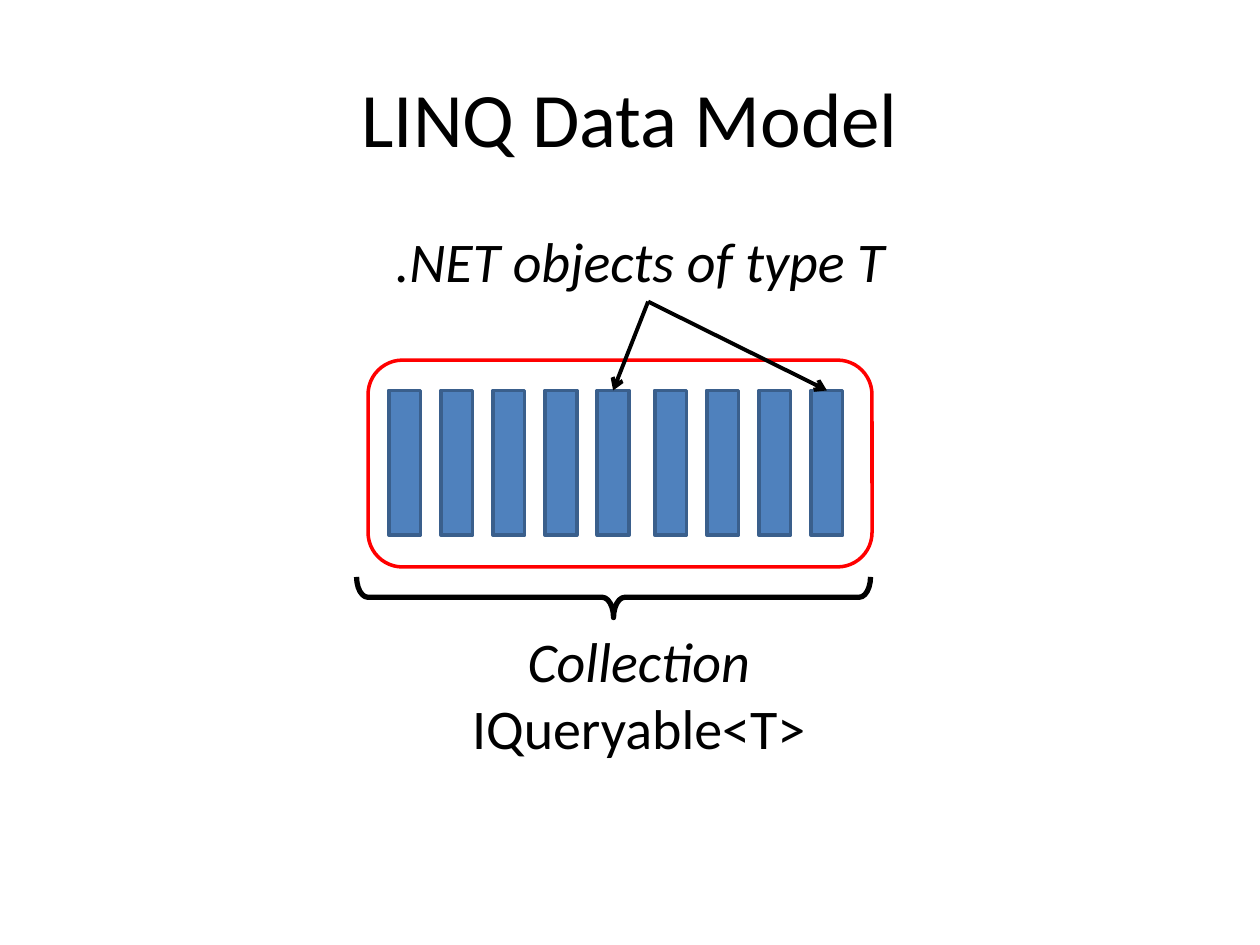
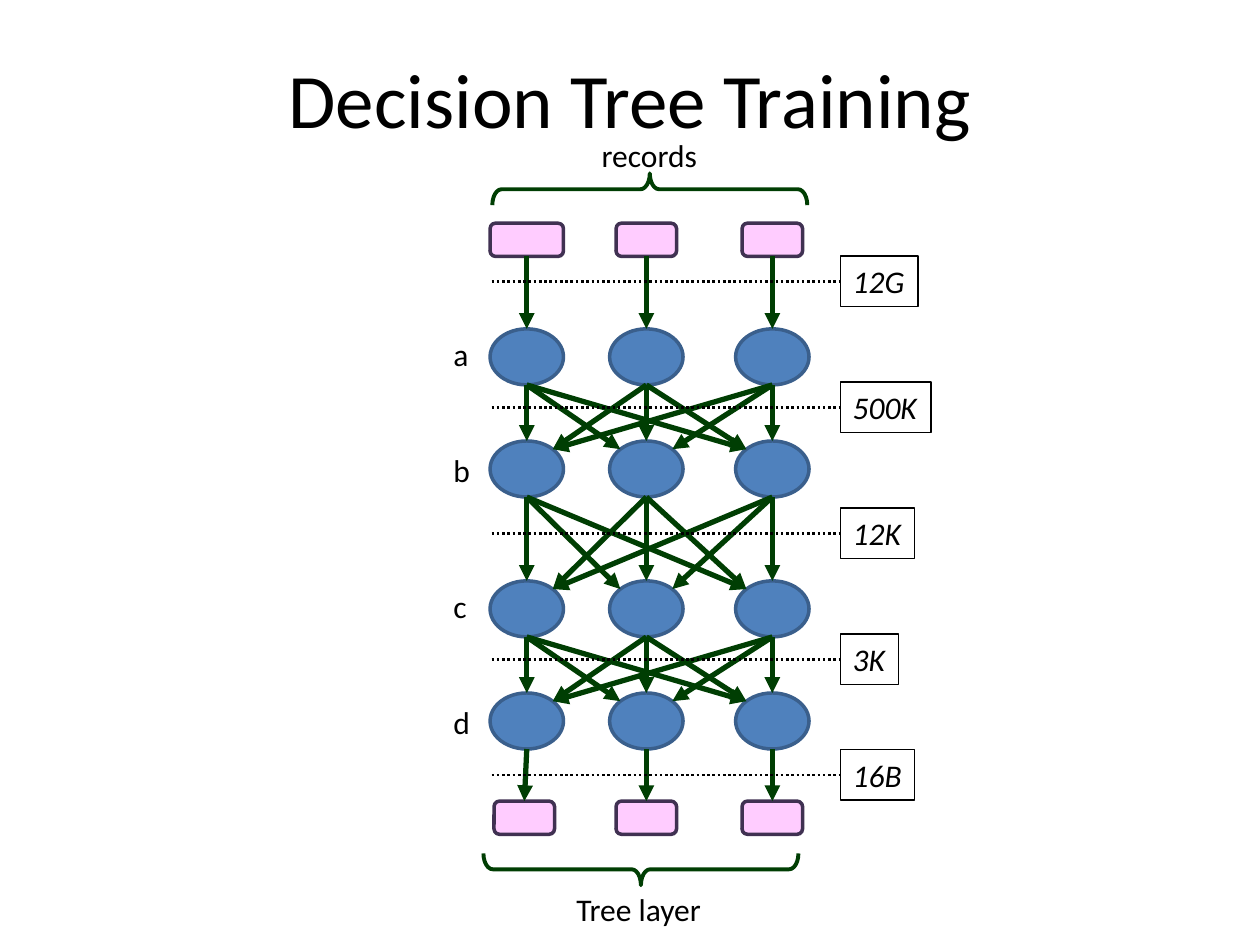
from dataclasses import dataclass
from itertools import pairwise
from math import sqrt

from lxml.etree import SubElement
from pptx import Presentation
from pptx.dml.color import RGBColor
from pptx.enum.dml import MSO_LINE
from pptx.enum.shapes import MSO_CONNECTOR as Link, MSO_SHAPE as Preset
from pptx.enum.text import MSO_ANCHOR as Anchor, MSO_AUTO_SIZE as Fit, PP_ALIGN as Align
from pptx.oxml.ns import qn
from pptx.util import Cm, Pt


@dataclass(frozen=True)
class Theme:
    font: str = "Calibri"
    ink: str = "000000"
    paper: str = "FFFFFF"
    blue: str = "4F81BD"
    blue_edge: str = "3A5F8C"
    red: str = "FF0000"
    pink: str = "FFCCFF"
    plum: str = "403152"
    green: str = "003E03"
    title_size: int = 44
    large_size: int = 32
    small_size: int = 18


THEME = Theme()

# Content of the data model slide; all lengths in centimetres
MODEL_TITLE = ("LINQ Data Model", 3.18)
OBJECTS_LABEL = (".NET objects of type T", (7.72, 4.45, 10.69, 1.63))
COLLECTION_LINES = [("Collection", True), ("IQueryable<T>", False)]
COLLECTION_BOX = (9.22, 12.5, 7.32, 3)
COLLECTION_FRAME = (7.42, 7.26, 10.16, 4.17)
COLLECTION_BRACE = (11.96, 6.86, 0.82, 10.36)
BAR_GROUPS = [(7.84, 5), (13.2, 4)]  # left edge, number of bars
BAR_PITCH, BAR_TOP, BAR_WIDTH, BAR_HEIGHT = 1.05, 7.87, 0.64, 2.92
POINTED_BARS = [8, 4]

# Content of the decision tree slide
TREE_TITLE = ("Decision Tree Training", 2.41)
COLUMNS = [10.62, 13.03, 15.57]
STAGES = [  # label, node top, label top
    ("a", 6.63, 6.63),
    ("b", 8.89, 8.97),
    ("c", 11.71, 11.71),
    ("d", 13.97, 14.05),
]
NODE_WIDTH, NODE_HEIGHT = 1.48, 1.13
RECORDS_TOP, TREE_LAYER_TOP, RECORD_HEIGHT = 4.5, 16.15, 0.67
RECORDS = [(10.62, 1.48), (13.03, 1.22), (15.57, 1.22)]  # centre, width
TREE_LAYER = [(10.57, 1.22), (13.03, 1.22), (15.57, 1.22)]
TRAFFIC = [  # volume, top, width
    ("12G", 5.16, 1.57),
    ("500K", 7.7, 1.83),
    ("12K", 10.24, 1.5),
    ("3K", 12.78, 1.17),
    ("16B", 15.11, 1.5),
]
TRAFFIC_LEFT, DOTS_LEFT = 16.94, 9.91
STAGE_LEFT, STAGE_WIDTH, TEXT_HEIGHT = 8.89, 0.81, 1.02
CAPTIONS = [
    ("records", (11.86, 2.62, 2.46, TEXT_HEIGHT)),
    ("Tree layer", (11.35, 17.81, 3.05, TEXT_HEIGHT)),
]
TREE_BRACES = [((12.78, 0.64, 0.64, 6.35), 270), ((12.6, 14.35, 0.64, 6.35), 90)]


# Shared helpers
def apply(target, values):
    for name, value in values.items():
        setattr(target, name, value)


def cm(lengths):
    return [Cm(length) for length in lengths]


def paint(shape, fill=None, line=None, width=2):
    if fill:
        shape.fill.solid()
        shape.fill.fore_color.rgb = RGBColor.from_string(fill)
    else:
        shape.fill.background()
    if line:
        shape.line.color.rgb = RGBColor.from_string(line)
        shape.line.width = Pt(width)


def write(para, text, size, italic=False, align=Align.LEFT):
    para.alignment = align
    span = para.add_run()
    span.text = text
    apply(span.font, {"name": THEME.font, "size": Pt(size), "italic": italic})
    span.font.color.rgb = RGBColor.from_string(THEME.ink)


def add_page(deck, title, height):
    page = deck.slides.add_slide(deck.slide_layouts[5])
    box = page.shapes.title
    apply(box, dict(zip(("left", "top", "width", "height"), cm((1.27, 0.76, 22.86, height)))))
    apply(box.text_frame, {"vertical_anchor": Anchor.MIDDLE, "word_wrap": True})
    write(box.text_frame.paragraphs[0], title, THEME.title_size, align=Align.CENTER)
    return page


def add_text(page, lines, place, size, align=Align.LEFT, wrap=False):
    box = page.shapes.add_textbox(*cm(place))
    frame = box.text_frame
    apply(frame, {"word_wrap": wrap, "auto_size": Fit.SHAPE_TO_FIT_TEXT})
    for index, (text, italic) in enumerate(lines):
        para = frame.add_paragraph() if index else frame.paragraphs[0]
        write(para, text, size, italic, align)
    return box


def add_figure(page, preset, place, **style):
    shape = page.shapes.add_shape(preset, *cm(place))
    shape.shadow.inherit = False
    paint(shape, **style)
    return shape


def add_brace(page, preset, place, rotation, depth, **style):
    brace = add_figure(page, preset, place, **style)
    brace.rotation = rotation
    brace.adjustments[0] = depth


def add_link(page, start, end, color, width, head=None, dash=None, begin=None, finish=None):
    link = page.shapes.add_connector(Link.STRAIGHT, *cm((*start, *end)))
    if begin:
        link.begin_connect(*begin)
    if finish:
        link.end_connect(*finish)
    link.line.color.rgb = RGBColor.from_string(color)
    link.line.width = Pt(width)
    if dash:
        link.line.dash_style = dash
    properties = link._element.spPr
    if head:
        SubElement(properties.find(qn("a:ln")), qn("a:tailEnd"), type=head)
    SubElement(properties, qn("a:effectLst"))


# Data model slide
def build_model(deck):
    page = add_page(deck, *MODEL_TITLE)
    lefts = [left + BAR_PITCH * index for left, count in BAR_GROUPS for index in range(count)]
    bars = [
        add_figure(page, Preset.RECTANGLE, (left, BAR_TOP, BAR_WIDTH, BAR_HEIGHT),
                   fill=THEME.blue, line=THEME.blue_edge)
        for left in lefts
    ]
    add_text(page, COLLECTION_LINES, COLLECTION_BOX, THEME.large_size, Align.CENTER)
    add_brace(page, Preset.LEFT_BRACE, COLLECTION_BRACE, 270, 0.278, line=THEME.ink, width=3)
    text, place = OBJECTS_LABEL
    label = add_text(page, [(text, True)], place, THEME.large_size, wrap=True)
    add_figure(page, Preset.ROUNDED_RECTANGLE, COLLECTION_FRAME, line=THEME.red)
    for index in POINTED_BARS:
        add_link(page, (0, 0), (0, 0), THEME.ink, 2.25, head="arrow",
                 begin=(label, 2), finish=(bars[index], 0))


# Decision tree slide
def add_records(page, row, top):
    return [
        add_figure(page, Preset.ROUNDED_RECTANGLE,
                   (center - width / 2, top, width, RECORD_HEIGHT),
                   fill=THEME.pink, line=THEME.plum)
        for center, width in row
    ]


def build_tree(deck):
    page = add_page(deck, *TREE_TITLE)
    flow = {"color": THEME.green, "width": 3, "head": "triangle"}

    # Captions, braces and record boxes
    for text, place in CAPTIONS:
        add_text(page, [(text, False)], place, THEME.small_size, Align.CENTER)
    for place, rotation in TREE_BRACES:
        add_brace(page, Preset.RIGHT_BRACE, place, rotation, 0.292, line=THEME.green, width=2.25)
    records = add_records(page, RECORDS, RECORDS_TOP)
    layer = add_records(page, TREE_LAYER, TREE_LAYER_TOP)

    # Stages of nodes
    stages = []
    for text, top, label_top in STAGES:
        add_text(page, [(text, False)], (STAGE_LEFT, label_top, STAGE_WIDTH, TEXT_HEIGHT),
                 THEME.small_size)
        nodes = [
            add_figure(page, Preset.OVAL,
                       (center - NODE_WIDTH / 2, top, NODE_WIDTH, NODE_HEIGHT),
                       fill=THEME.blue, line=THEME.blue_edge)
            for center in COLUMNS
        ]
        stages.append((top, nodes))

    # Arrows into the first stage, between all stages, and out of the last
    for record, node in zip(records, stages[0][1]):
        add_link(page, (0, 0), (0, 0), begin=(record, 2), finish=(node, 0), **flow)
    diagonal = sqrt(0.5)
    side = NODE_WIDTH / 2 * diagonal
    drop = NODE_HEIGHT / 2 * (1 - diagonal)
    for (upper_top, _), (lower_top, nodes) in pairwise(stages):
        for source in COLUMNS:
            start = (source, upper_top + NODE_HEIGHT)
            for target, node in zip(COLUMNS, nodes):
                if source == target:
                    add_link(page, start, (target, lower_top), finish=(node, 0), **flow)
                else:
                    shift = side if source > target else -side
                    add_link(page, start, (target + shift, lower_top + drop), **flow)
    last_bottom = stages[-1][0] + NODE_HEIGHT
    for center, box in zip(COLUMNS, layer):
        add_link(page, (center, last_bottom), (center, TREE_LAYER_TOP), finish=(box, 0), **flow)

    # Traffic volumes with dotted cut lines
    for volume, top, width in TRAFFIC:
        box = add_text(page, [(volume, True)], (TRAFFIC_LEFT, top, width, TEXT_HEIGHT),
                       THEME.small_size)
        paint(box, fill=THEME.paper, line=THEME.ink, width=0.75)
        middle = top + TEXT_HEIGHT / 2
        add_link(page, (DOTS_LEFT, middle), (TRAFFIC_LEFT, middle), THEME.ink, 1.5,
                 dash=MSO_LINE.ROUND_DOT, finish=(box, 1))


def main():
    deck = Presentation()
    apply(deck, {"slide_width": Cm(25.4), "slide_height": Cm(19.05)})
    build_model(deck)
    build_tree(deck)
    deck.save("out.pptx")


if __name__ == "__main__":
    main()
